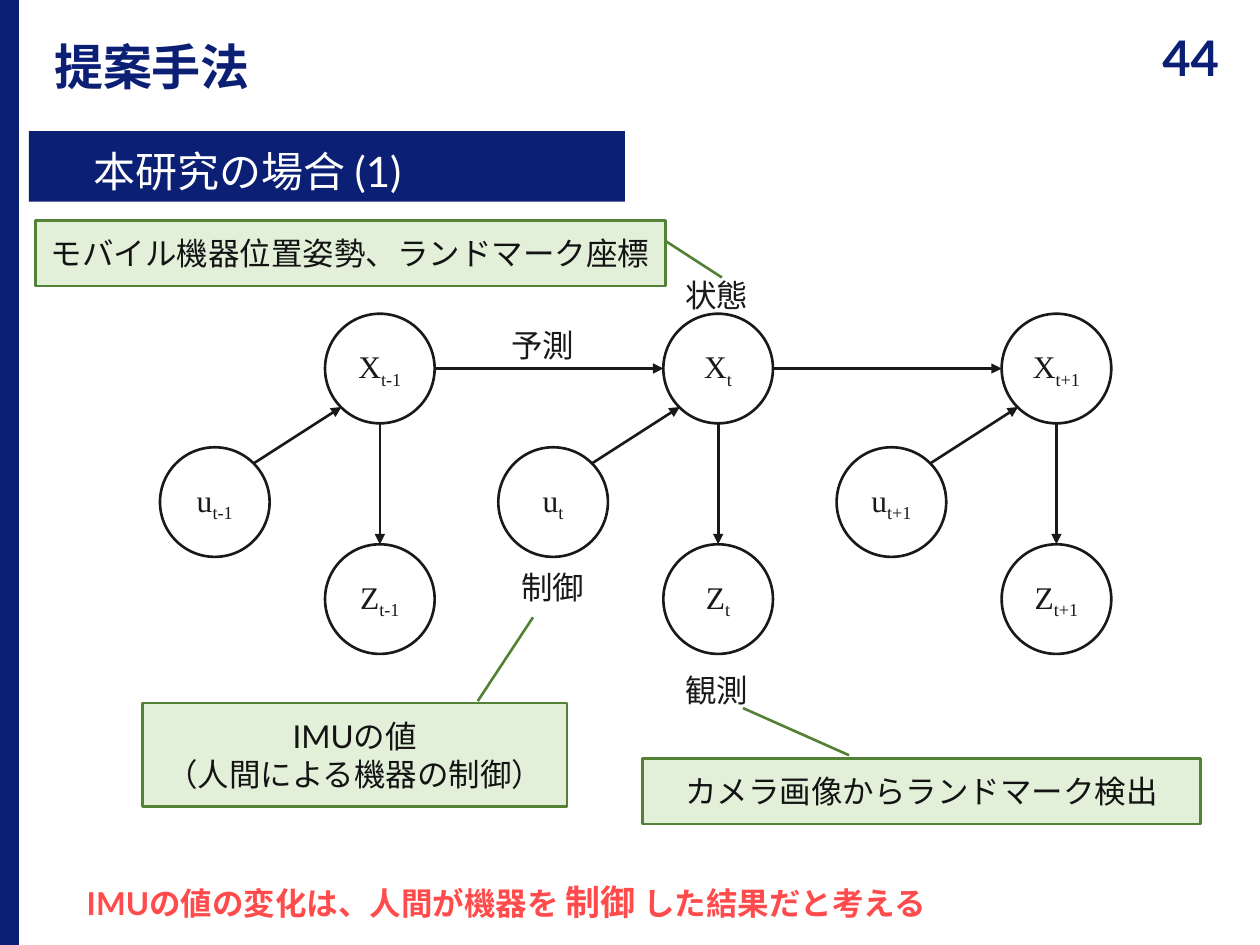
from dataclasses import dataclass
from typing import Any

from lxml import etree
from pptx import Presentation, util as u
from pptx.dml.color import RGBColor
from pptx.enum import shapes, text
from pptx.oxml import ns

NAVY = RGBColor(0x0B, 0x20, 0x75)
WHITE = RGBColor(0xFF, 0xFF, 0xFF)
INK = RGBColor(0x19, 0x19, 0x19)
DARK = RGBColor(0x13, 0x13, 0x13)
MINT = RGBColor(0xE2, 0xF0, 0xD9)
GREEN = RGBColor(0x53, 0x81, 0x35)
RED = RGBColor(0xFF, 0x4B, 0x4B)

LEFT, STEP, SIZE = 2.58, 2.685, 0.87
STATE, SENSE, INPUT, SHIFT = 2.49, 4.32, 3.55, -1.31
NEAR, FAR = 0.13, 0.74


@dataclass
class Box:
    left: float
    top: float
    width: float
    height: float


@dataclass
class Style:
    color: RGBColor
    size: float = 18
    bold: bool = False
    face: str = "Lato"
    center: bool = False
    middle: bool = False
    wrap: bool = True
    inset: tuple[float, float, float, float] = (0.1, 0.05, 0.1, 0.05)
    lead: float = 1.0


@dataclass
class Label:
    words: str
    box: Box


@dataclass
class Note:
    lines: list[str]
    box: Box
    bends: tuple[float, float, float, float]


LABELS = [
    Label("状態", Box(5.34, 2.14, 0.71, 0.4)),
    Label("予測", Box(3.96, 2.54, 0.71, 0.4)),
    Label("観測", Box(5.34, 5.28, 0.71, 0.4)),
    Label("制御", Box(4.04, 4.46, 0.71, 0.4)),
]
NOTES = [
    Note(["モバイル機器位置姿勢、ランドマーク座標"], Box(0.28, 1.75, 5, 0.52), (0.31, 1, 0.87, 1.09)[2:] + (0.31, 1)),
    Note(["カメラ画像からランドマーク検出"], Box(5.1, 6.02, 4.43, 0.52), (-0.05, 0.37, -0.77, 0.18)),
    Note(["IMUの値", "（人間による機器の制御）"], Box(1.13, 5.58, 3.37, 0.82), (-0.02, 0.79, -0.83, 0.92)),
]


def place(box: Box) -> list[int]:
    """Turn a box into lengths."""
    return [u.Inches(n) for n in (box.left, box.top, box.width, box.height)]


def write(shape: Any, lines: list[list[str]], style: Style) -> list[Any]:
    """Fill a shape with styled lines of runs and return its paragraphs."""
    frame = shape.text_frame
    frame.word_wrap = style.wrap
    frame.vertical_anchor = text.MSO_ANCHOR.MIDDLE if style.middle else text.MSO_ANCHOR.TOP
    sides = ("left", "top", "right", "bottom")
    for side, gap in zip(sides, style.inset):
        setattr(frame, f"margin_{side}", u.Inches(gap))
    for i, parts in enumerate(lines):
        para = frame.add_paragraph() if i else frame.paragraphs[0]
        para.alignment = text.PP_ALIGN.CENTER if style.center else text.PP_ALIGN.LEFT
        para.line_spacing = style.lead
        for part in parts:
            para.add_run().text = part
        font = para.font
        font.name, font.size, font.bold = style.face, u.Pt(style.size), style.bold
        font.color.rgb = style.color
    return list(frame.paragraphs)


def draw(slide: Any, kind: Any, box: Box, fill: RGBColor | None = None, line: RGBColor | None = None) -> Any:
    """Add a flat preset shape."""
    shape = slide.shapes.add_shape(kind, *place(box))
    shape.shadow.inherit = False
    if fill is None:
        shape.fill.background()
    else:
        shape.fill.solid()
        shape.fill.fore_color.rgb = fill
    if line is None:
        shape.line.fill.background()
    else:
        shape.line.color.rgb = line
        shape.line.width = u.Pt(1.5)
    return shape


def print_box(slide: Any, box: Box, parts: list[str], style: Style) -> list[Any]:
    """Add a text box of one line."""
    return write(slide.shapes.add_textbox(*place(box)), [parts], style)


def node(slide: Any, left: float, top: float, name: str, sub: str) -> None:
    """Add a circle that holds a name with a subscript."""
    shape = draw(slide, shapes.MSO_SHAPE.OVAL, Box(left, top, SIZE, SIZE), line=INK)
    style = Style(INK, face="Times New Roman", center=True, middle=True)
    para = write(shape, [[name, sub]], style)[0]
    para.runs[1]._r.get_or_add_rPr().set("baseline", "-25000")


def arrow(slide: Any, x1: float, y1: float, x2: float, y2: float) -> None:
    """Add a straight line with a head at its end."""
    ends = [u.Inches(n) for n in (x1, y1, x2, y2)]
    link = slide.shapes.add_connector(shapes.MSO_CONNECTOR.STRAIGHT, *ends)
    link.line.color.rgb = INK
    link.line.width = u.Pt(1.5)
    etree.SubElement(link.line._get_or_add_ln(), ns.qn("a:tailEnd"), type="triangle")
    etree.SubElement(link._element.spPr, ns.qn("a:effectLst"))


def graph(slide: Any) -> None:
    """Draw the states, inputs and observations with their links."""
    half = SIZE / 2
    for i, sub in enumerate(("t-1", "t", "t+1")):
        left = LEFT + STEP * i
        side = left + SHIFT
        node(slide, left, STATE, "X", sub)
        node(slide, left, SENSE, "Z", sub)
        node(slide, side, INPUT, "u", sub)
        arrow(slide, left + half, STATE + SIZE, left + half, SENSE)
        arrow(slide, side + FAR, INPUT + NEAR, left + NEAR, STATE + FAR)
        if i:
            arrow(slide, left - STEP + SIZE, STATE + half, left, STATE + half)


def callout(slide: Any, note: Note) -> None:
    """Add a green callout with its leader line."""
    shape = draw(slide, shapes.MSO_SHAPE.LINE_CALLOUT_1, note.box, MINT, GREEN)
    for i, bend in enumerate(note.bends):
        shape.adjustments[i] = bend
    write(shape, [[line] for line in note.lines], Style(DARK, center=True, middle=True))


def main() -> None:
    """Build the slide and save it."""
    deck = Presentation()
    deck.slide_width, deck.slide_height = u.Inches(10), u.Inches(7.5)
    slide = deck.slides.add_slide(deck.slide_layouts[6])
    rect = shapes.MSO_SHAPE.RECTANGLE
    print_box(slide, Box(8.9, 0, 1.1, 0.91), ["44"], Style(NAVY, 28, True, center=True, middle=True))
    draw(slide, rect, Box(-0.01, 0, 0.16, 7.5), NAVY)
    head = Style(NAVY, 28, True, middle=True, inset=(0.43, 0.2, 0, 0), lead=0.9)
    print_box(slide, Box(0, 0, 8.9, 0.91), ["提案手法"], head)
    band = draw(slide, rect, Box(0.23, 1.04, 4.73, 0.56), NAVY)
    write(band, [["本研究の場合 (1)"]], Style(WHITE, 24, middle=True, inset=(0.51, 0.12, 0.1, 0), lead=0.9))
    graph(slide)
    for label in LABELS:
        print_box(slide, label.box, [label.words], Style(INK, wrap=False))
    for note in NOTES:
        callout(slide, note)
    parts = ["IMUの値の変化は、人間が機器を ", "制御", " した結果だと考える"]
    para = print_box(slide, Box(0.59, 6.94, 7.14, 0.44), parts, Style(RED, bold=True, wrap=False))[0]
    para.runs[1].font.size = u.Pt(20)
    deck.save("out.pptx")


if __name__ == "__main__":
    main()
